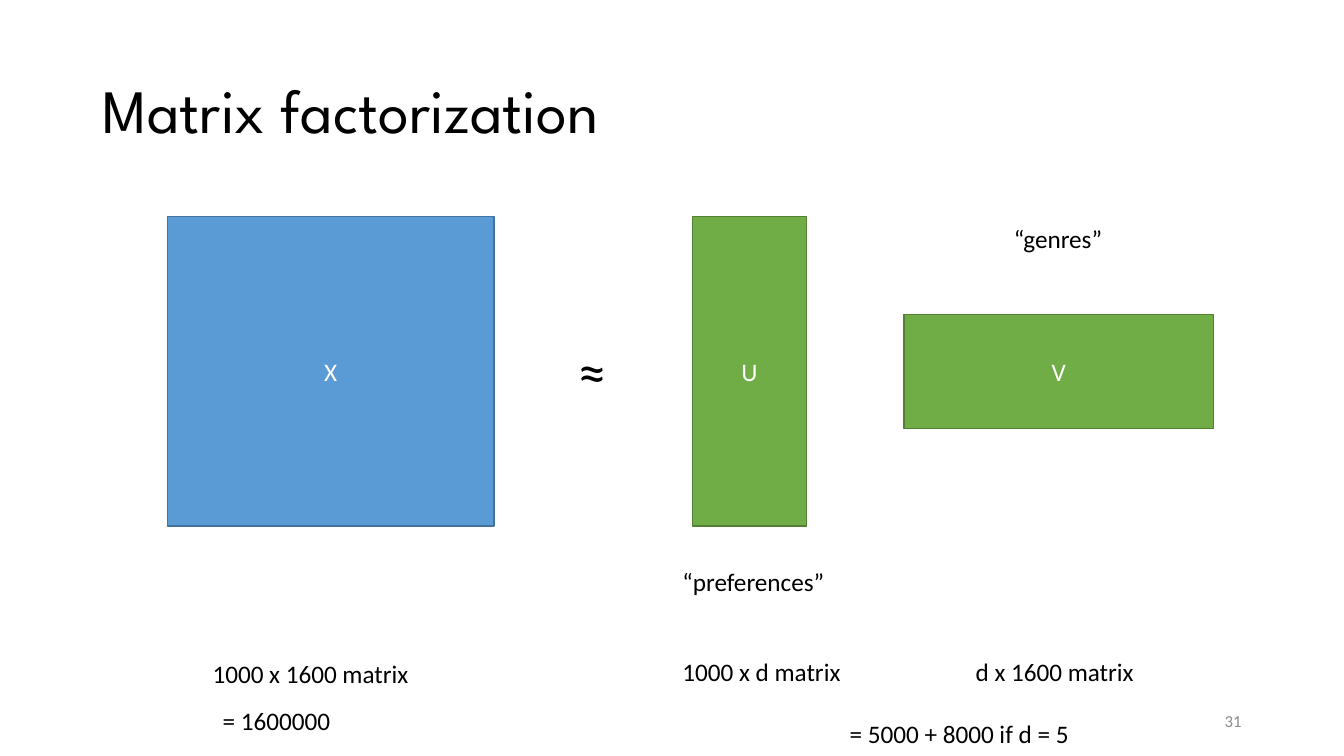
from dataclasses import dataclass

from pptx import Presentation
from pptx.dml.color import RGBColor
from pptx.enum.shapes import MSO_SHAPE
from pptx.enum.text import MSO_ANCHOR, MSO_AUTO_SIZE, PP_ALIGN
from pptx.slide import Slide
from pptx.text.text import TextFrame
from pptx.util import Pt

RECTANGLE = MSO_SHAPE.RECTANGLE
MIDDLE = MSO_ANCHOR.MIDDLE
TOP = MSO_ANCHOR.TOP
LEFT = PP_ALIGN.LEFT
CENTER = PP_ALIGN.CENTER
RIGHT = PP_ALIGN.RIGHT
FIT_SHAPE = MSO_AUTO_SIZE.SHAPE_TO_FIT_TEXT
NO_FIT = MSO_AUTO_SIZE.NONE

TITLE_ONLY_LAYOUT = 5
TITLE_FONT = "League Spartan"
BODY_FONT = "Calibri"
COLORS = {
    "text": "000000",
    "matrix_text": "FFFFFF",
    "slide_number": "8C8C8C",
    "blue": "5B9BD5",
    "blue_line": "43739E",
    "green": "70AD47",
    "green_line": "538035",
}

# The factors share the long side (rows of X) and the short side (d).
LONG_SIDE = 221
SHORT_SIDE = 81.4
MATRIX_TOP = 154.8
MATRIX_MIDDLE = MATRIX_TOP + LONG_SIDE / 2
LABEL_HEIGHT = 29.1
FACTOR_LABEL_LEFT = 480.4
FACTOR_SIZE_TOP = 465.6


@dataclass(frozen=True)
class Matrix:
    name: str
    left: float
    width: float
    height: float
    color: str


@dataclass(frozen=True)
class Label:
    text: str
    left: float
    top: float
    width: float
    height: float = LABEL_HEIGHT
    size: float = 18


MATRICES = [
    Matrix("X", 119.5, 233.3, LONG_SIDE, "blue"),
    Matrix("U", 494.6, SHORT_SIDE, LONG_SIDE, "green"),
    Matrix("V", 645.8, LONG_SIDE, SHORT_SIDE, "green"),
]

LABELS = [
    Label("≈", 406, 237, 34.5, 55.7, 40),
    Label("“preferences”", FACTOR_LABEL_LEFT, 401, 116.6),
    Label("“genres”", 717.1, 156.2, 78.5),
    Label("1000 x 1600 matrix", 144.7, 466.6, 159.8),
    Label("1000 x d matrix", FACTOR_LABEL_LEFT, FACTOR_SIZE_TOP, 132.5),
    Label("d x 1600 matrix", 689.8, FACTOR_SIZE_TOP, 132.5),
    Label("= 1600000", 151.9, 500.4, 92.2),
    Label("= 5000 + 8000 if d = 5", 599.8, 509.8, 173.5),
]


def color(name: str) -> RGBColor:
    return RGBColor.from_string(COLORS[name])


def write_text(frame: TextFrame, text: str, size: float, color_name: str,
               alignment: PP_ALIGN, font_name: str = BODY_FONT) -> None:
    frame.text = text
    paragraph = frame.paragraphs[0]
    paragraph.alignment = alignment
    font = paragraph.runs[0].font
    font.name = font_name
    font.size = Pt(size)
    font.color.rgb = color(color_name)


def set_title(slide: Slide, text: str) -> None:
    title = slide.shapes.title
    title.left, title.top = Pt(66), Pt(28.75)
    title.width, title.height = Pt(828), Pt(104.4)
    frame = title.text_frame
    write_text(frame, text, 44, "text", LEFT, TITLE_FONT)
    frame.vertical_anchor = MIDDLE
    frame.auto_size = NO_FIT
    frame.paragraphs[0].line_spacing = 0.9


def add_matrix(slide: Slide, matrix: Matrix) -> None:
    """Draw a matrix centred on the common horizontal axis."""
    shape = slide.shapes.add_shape(
        RECTANGLE, Pt(matrix.left), Pt(MATRIX_MIDDLE - matrix.height / 2),
        Pt(matrix.width), Pt(matrix.height))
    shape.shadow.inherit = False
    shape.fill.solid()
    shape.fill.fore_color.rgb = color(matrix.color)
    shape.line.color.rgb = color(f"{matrix.color}_line")
    shape.line.width = Pt(1)
    shape.text_frame.vertical_anchor = MIDDLE
    write_text(shape.text_frame, matrix.name, 18, "matrix_text", CENTER)


def add_label(slide: Slide, label: Label) -> None:
    box = slide.shapes.add_textbox(
        Pt(label.left), Pt(label.top), Pt(label.width), Pt(label.height))
    frame = box.text_frame
    frame.word_wrap = False
    frame.auto_size = FIT_SHAPE
    frame.vertical_anchor = TOP
    write_text(frame, label.text, label.size, "text", LEFT)


def add_slide_number(slide: Slide, number: str) -> None:
    box = slide.shapes.add_textbox(Pt(678), Pt(500.5), Pt(216), Pt(28.75))
    frame = box.text_frame
    frame.word_wrap = True
    frame.vertical_anchor = MIDDLE
    write_text(frame, number, 12, "slide_number", RIGHT)


def main() -> None:
    presentation = Presentation()
    presentation.slide_width = Pt(960)
    presentation.slide_height = Pt(540)
    layout = presentation.slide_layouts[TITLE_ONLY_LAYOUT]
    slide = presentation.slides.add_slide(layout)

    set_title(slide, "Matrix factorization")
    add_slide_number(slide, "31")
    for matrix in MATRICES:
        add_matrix(slide, matrix)
    for label in LABELS:
        add_label(slide, label)

    presentation.save("out.pptx")


if __name__ == "__main__":
    main()
